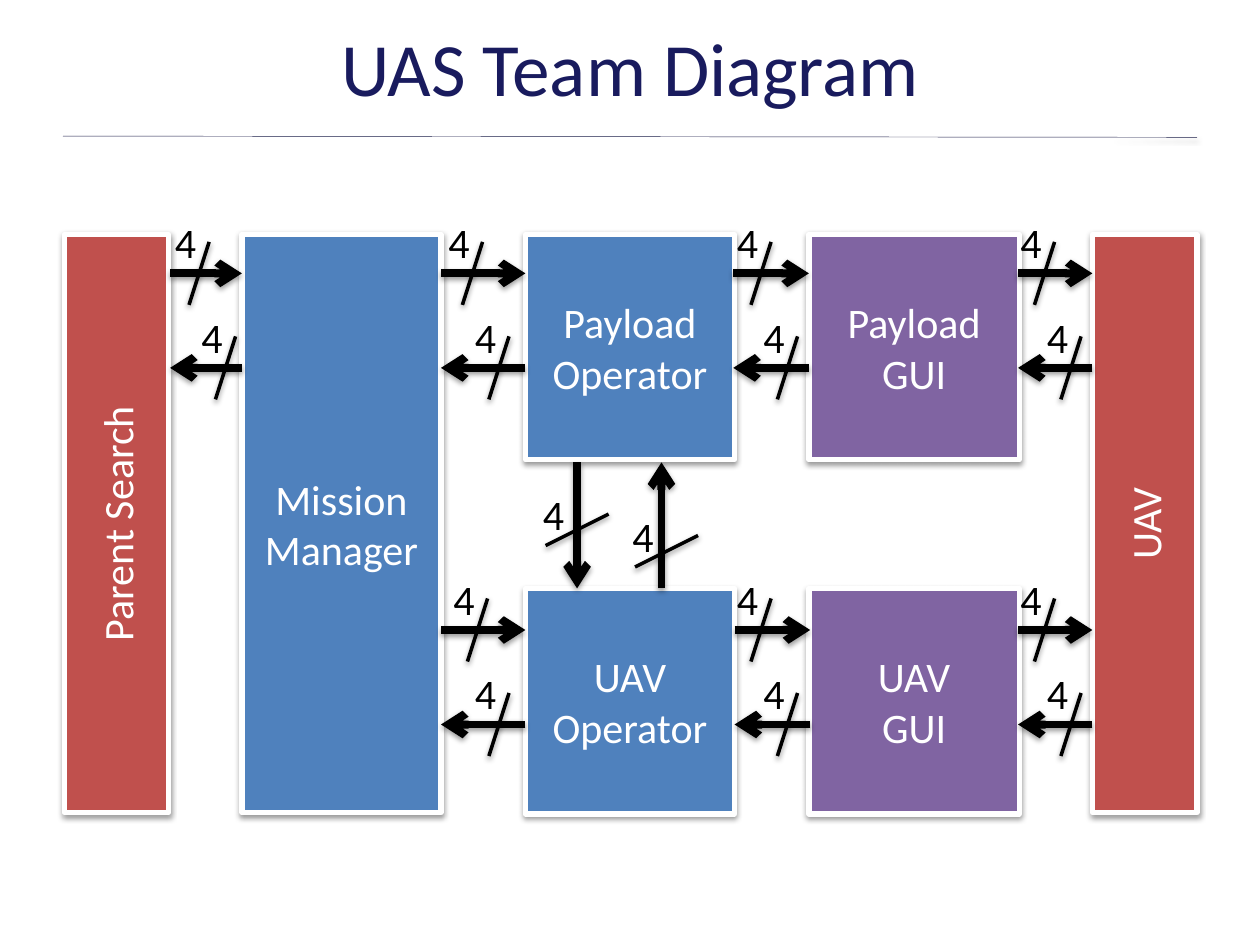
import lxml.etree
import pptx
import pptx.dml.color
import pptx.enum.shapes
import pptx.enum.text
import pptx.oxml
import pptx.oxml.ns
import pptx.util

Inches = pptx.util.Inches
RGBColor = pptx.dml.color.RGBColor

RED = RGBColor(0xC0, 0x50, 0x4D)
BLUE = RGBColor(0x4F, 0x81, 0xBD)
PURPLE = RGBColor(0x80, 0x64, 0xA2)
NAVY = RGBColor(0x19, 0x1B, 0x5E)
RULE = RGBColor(0x1A, 0x1C, 0x47)
WHITE = RGBColor(0xFF, 0xFF, 0xFF)
BLACK = RGBColor(0, 0, 0)

SHADOW = (
    f'<a:effectLst {pptx.oxml.ns.nsdecls("a")}>'
    '<a:outerShdw blurRad="40000" dist="20000" dir="5400000" rotWithShape="0">'
    '<a:srgbClr val="000000"><a:alpha val="38000"/></a:srgbClr>'
    '</a:outerShdw></a:effectLst>'
)


def write_text(frame, text, size=24, color=WHITE, centered=True, wrap=True, spacing=None):
    frame.word_wrap = wrap
    for index, line in enumerate(text.split("\n")):
        para = frame.add_paragraph() if index else frame.paragraphs[0]
        if centered:
            para.alignment = pptx.enum.text.PP_ALIGN.CENTER
        if spacing:
            para.line_spacing = pptx.util.Pt(spacing)
        span = para.add_run()
        span.text = line
        span.font.name = "Calibri"
        span.font.size = pptx.util.Pt(size)
        span.font.color.rgb = color


class TeamDiagram:
    """Draws the boxes and signal buses of the team diagram on one page."""

    def __init__(self, page):
        self.page = page

    def add_shadow(self, shape):
        shape._element.spPr.append(pptx.oxml.parse_xml(SHADOW))

    def title(self, text, left, top, width, height):
        box = self.page.shapes.add_textbox(*map(Inches, (left, top, width, height)))
        box.text_frame.vertical_anchor = pptx.enum.text.MSO_ANCHOR.MIDDLE
        write_text(box.text_frame, text, size=43, color=NAVY, spacing=40)

    def box(self, text, color, left, top, width, height, vertical=False):
        box = self.page.shapes.add_shape(
            pptx.enum.shapes.MSO_SHAPE.RECTANGLE, *map(Inches, (left, top, width, height)))
        box.fill.solid()
        box.fill.fore_color.rgb = color
        box.line.color.rgb = WHITE
        box.line.width = pptx.util.Pt(3)
        self.add_shadow(box)
        box.text_frame.vertical_anchor = pptx.enum.text.MSO_ANCHOR.MIDDLE
        if vertical:
            box.text_frame._txBody.bodyPr.set("vert", "vert270")
        write_text(box.text_frame, text)

    def line(self, start, end, width=2, color=BLACK, arrow=False):
        line = self.page.shapes.add_connector(
            pptx.enum.shapes.MSO_CONNECTOR.STRAIGHT, *map(Inches, (*start, *end)))
        line.line.color.rgb = color
        line.line.width = pptx.util.Pt(width)
        if arrow:
            stroke = line.line._get_or_add_ln()
            lxml.etree.SubElement(stroke, pptx.oxml.ns.qn("a:tailEnd"), type="arrow")
        self.add_shadow(line)

    def label(self, text, left, top):
        box = self.page.shapes.add_textbox(*map(Inches, (left, top, 0.37, 0.5)))
        box.text_frame.auto_size = pptx.enum.text.MSO_AUTO_SIZE.SHAPE_TO_FIT_TEXT
        write_text(box.text_frame, text, color=BLACK, centered=False, wrap=False)

    def bus(self, start, end, left, top):
        self.line(start, end, width=4.5, arrow=True)
        self.label("4", left, top)
        if start[1] == end[1]:
            self.line((left + 0.37, top + 0.25), (left + 0.21, top + 0.75))
        else:
            self.line((left + 0.62, top + 0.25), (left + 0.12, top + 0.5))


def main():
    deck = pptx.Presentation()
    deck.slide_width, deck.slide_height = Inches(10), Inches(7.5)
    diagram = TeamDiagram(deck.slides.add_slide(deck.slide_layouts[6]))

    diagram.line((0.5, 1.08), (9.5, 1.09), width=0.25, color=RULE)
    diagram.title("UAS Team Diagram", 0.5, 0.14, 9, 0.94)

    upper, lower, tall, short = 1.86, 4.67, 4.59, 1.79
    diagram.box("Parent Search", RED, 0.51, upper, 0.83, tall, vertical=True)
    diagram.box("Payload\nGUI", PURPLE, 6.42, upper, 1.67, short)
    diagram.box("UAV\nGUI", PURPLE, 6.42, lower, 1.67, short)
    diagram.box("UAV", RED, 8.67, upper, 0.83, tall, vertical=True)
    diagram.box("Payload Operator", BLUE, 4.17, upper, 1.66, short)
    diagram.box("UAV Operator", BLUE, 4.17, lower, 1.66, short)
    diagram.box("Mission Manager", BLUE, 1.92, upper, 1.58, tall)

    upper_bus, lower_bus = 2.17, 5
    gaps = [
        (upper_bus, 1.35, 1.92, 1.29, 1.5),
        (upper_bus, 3.5, 4.17, 3.46, 3.67),
        (upper_bus, 5.82, 6.42, 5.75, 5.96),
        (upper_bus, 8.08, 8.67, 8, 8.21),
        (lower_bus, 3.5, 4.17, 3.5, 3.67),
        (lower_bus, 5.83, 6.43, 5.75, 5.96),
        (lower_bus, 8.08, 8.67, 8, 8.21),
    ]
    for out, left, right, out_label, back_label in gaps:
        back = out + 0.75
        diagram.bus((left, out), (right, out), out_label, out - 0.5)
        diagram.bus((right, back), (left, back), back_label, back - 0.5)

    diagram.bus((4.58, 3.67), (4.58, 4.67), 4.21, 3.83)
    diagram.bus((5.25, 4.67), (5.25, 3.67), 4.92, 4)

    deck.save("out.pptx")


if __name__ == "__main__":
    main()
